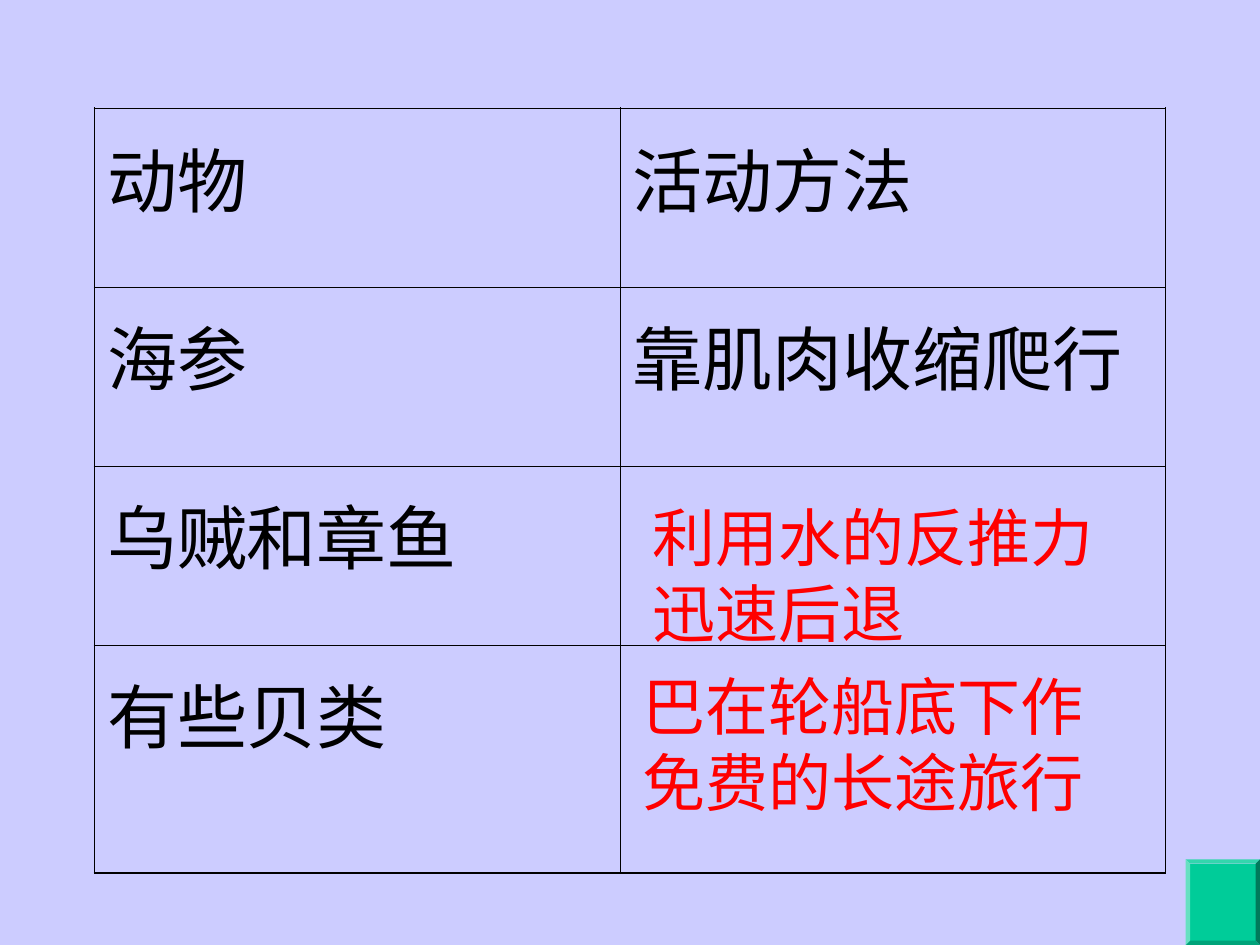
from pptx import Presentation
from pptx.dml.color import RGBColor
from pptx.enum.shapes import MSO_SHAPE
from pptx.oxml import parse_xml
from pptx.oxml.ns import nsdecls
from pptx.util import Inches, Pt


def color(value):
    return RGBColor.from_string(value)


class SlideBuilder:
    font_name = "Times New Roman"
    text_color = "000000"
    answer_color = "FF0000"
    outer_width = Pt(1.08)
    inner_width = Pt(0.45)

    def __init__(self, presentation, background):
        self.slide = presentation.slides.add_slide(presentation.slide_layouts[6])
        self.slide.background.fill.solid()
        self.slide.background.fill.fore_color.rgb = color(background)

    def style(self, paragraph, size, text_color):
        paragraph.font.name = self.font_name
        paragraph.font.size = Pt(size)
        paragraph.font.color.rgb = color(text_color)

    def border(self, cell, outer_sides):
        properties = cell._tc.get_or_add_tcPr()
        for index, side in enumerate("LRTB"):
            width = self.outer_width if side in outer_sides else self.inner_width
            properties.insert(index, parse_xml(
                f'<a:ln{side} {nsdecls("a")} w="{width}"><a:solidFill>'
                f'<a:srgbClr val="{self.text_color}"/></a:solidFill></a:ln{side}>'))

    def table(self, left, top, widths, heights, rows):
        table = self.slide.shapes.add_table(
            len(heights), len(widths), Inches(left), Inches(top),
            Inches(sum(widths)), Inches(sum(heights))).table
        table.first_row = False
        table.horz_banding = False
        for column, width in zip(table.columns, widths):
            column.width = Inches(width)
        for row_index, (height, texts) in enumerate(zip(heights, rows)):
            table.rows[row_index].height = Inches(height)
            for column_index, text in enumerate(texts):
                cell = table.cell(row_index, column_index)
                cell.fill.background()
                cell.margin_top = Inches(0.14)
                cell.text = text
                self.style(cell.text_frame.paragraphs[0], 40, self.text_color)
                outer_sides = "L" if column_index == 0 else "R"
                if row_index == 0:
                    outer_sides += "T"
                if row_index == len(heights) - 1:
                    outer_sides += "B"
                self.border(cell, outer_sides)

    def answer(self, left, top, width, height, text):
        shape = self.slide.shapes.add_textbox(
            Inches(left), Inches(top), Inches(width), Inches(height))
        shape.text_frame.word_wrap = True
        shape.text_frame.text = text
        self.style(shape.text_frame.paragraphs[0], 36, self.answer_color)

    def button(self, left, top, width, height, fill):
        shape = self.slide.shapes.add_shape(
            MSO_SHAPE.BEVEL, Inches(left), Inches(top), Inches(width), Inches(height))
        shape.adjustments[0] = 0.06
        shape.shadow.inherit = False
        shape.fill.solid()
        shape.fill.fore_color.rgb = color(fill)
        shape.line.fill.background()


def main():
    presentation = Presentation()
    presentation.slide_width = Inches(10)
    presentation.slide_height = Inches(7.5)
    builder = SlideBuilder(presentation, "CCCCFF")
    builder.table(0.75, 0.86, [4.17, 4.33], [1.42, 1.42, 1.42, 1.81], [
        ("动物", "活动方法"),
        ("海参", "靠肌肉收缩爬行"),
        ("乌贼和章鱼", ""),
        ("有些贝类", ""),
    ])
    builder.answer(5.08, 3.91, 4.02, 1.3, "利用水的反推力迅速后退")
    builder.answer(5, 5.25, 3.94, 1.3, "巴在轮船底下作免费的长途旅行")
    builder.button(9.41, 6.82, 0.59, 0.68, "00CC99")
    presentation.save("out.pptx")


if __name__ == "__main__":
    main()
